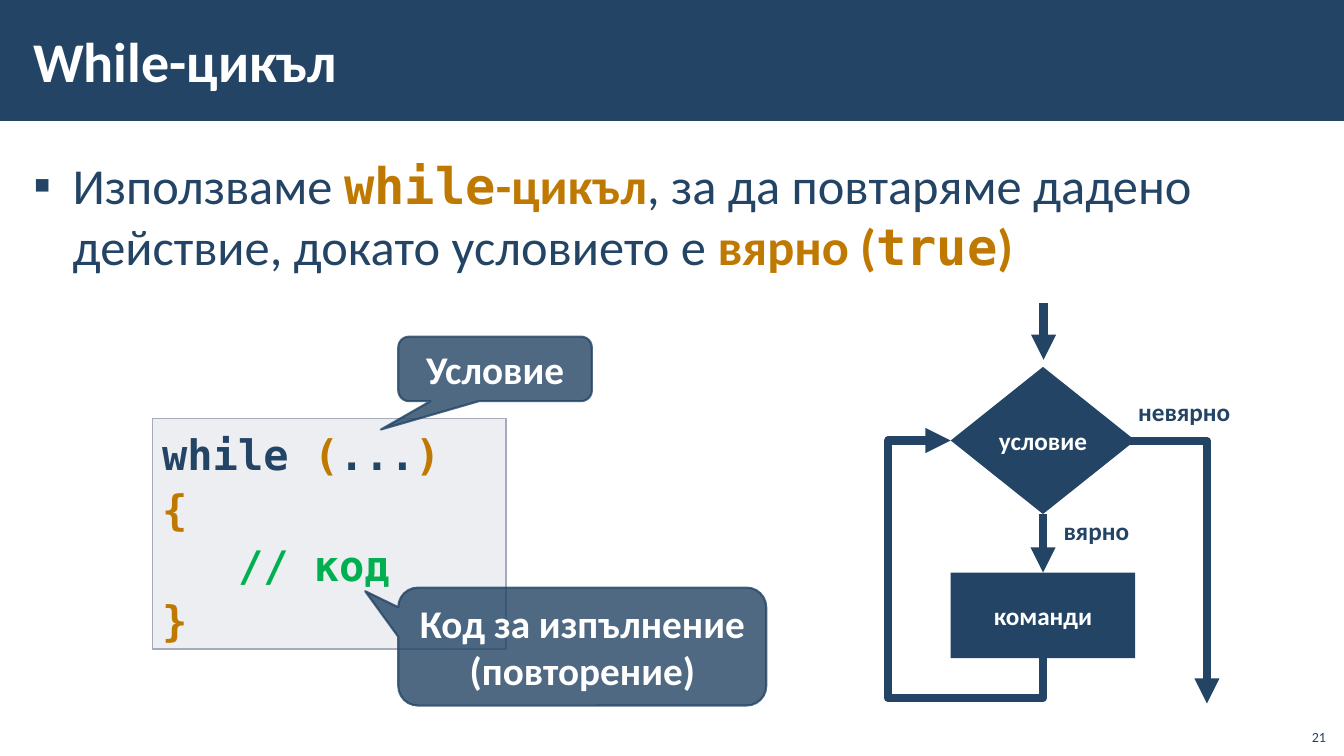
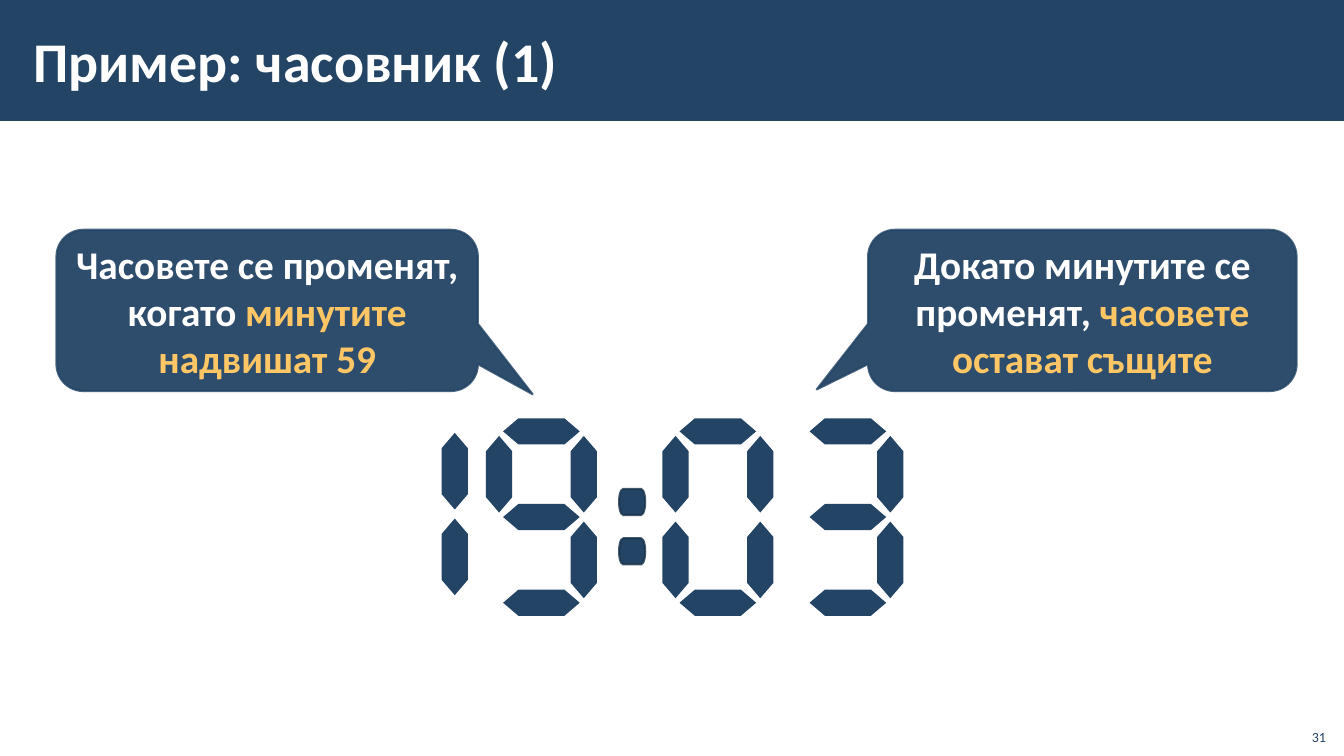
from lxml import etree
from pptx import Presentation
from pptx import util as u
from pptx.dml.color import RGBColor
from pptx.enum import shapes, text
from pptx.oxml.ns import qn

NAVY = RGBColor(0x23, 0x44, 0x65)
DARK_NAVY = RGBColor(0x1A, 0x33, 0x4C)
WHITE = RGBColor(0xFF, 0xFF, 0xFF)
OCHRE = RGBColor(0xBF, 0x78, 0x00)
GOLD = RGBColor(0xFF, 0xC6, 0x66)
GREEN = RGBColor(0x00, 0xB0, 0x50)
GREY = RGBColor(0xA3, 0xAB, 0xBC)
SANS, MONO = "Calibri", "DejaVu Sans Mono"
PRESET = shapes.MSO_SHAPE
ALIGN = text.PP_ALIGN
ANCHOR = text.MSO_ANCHOR


def add_block(slide, preset, box, color, opacity=100, line=None, line_width=1.5, line_opacity=100):
    """Add a preset shape; box is left, top, width, height in inches."""
    block = slide.shapes.add_shape(preset, *map(u.Inches, box))
    block.shadow.inherit = False
    block.fill.solid()
    block.fill.fore_color.rgb = color
    if line is None:
        block.line.fill.background()
    else:
        block.line.color.rgb = line
        block.line.width = u.Pt(line_width)
    paints = block.element.spPr.iter(qn("a:srgbClr"))
    for paint, percent in zip(list(paints), (opacity, line_opacity)):
        if percent < 100:
            etree.SubElement(paint, qn("a:alpha")).set("val", str(percent * 1000))
    return block


def write(shape, lines, size, color, align=ALIGN.LEFT, anchor=ANCHOR.MIDDLE,
          font=SANS, bold=True, wrap=True, spacing=None):
    """Fill a shape with lines, each a list of (text, overrides of color, font, bold)."""
    frame = shape.text_frame
    frame.auto_size = text.MSO_AUTO_SIZE.NONE
    frame.word_wrap = wrap
    frame.vertical_anchor = anchor
    for index, pieces in enumerate(lines):
        paragraph = frame.add_paragraph() if index else frame.paragraphs[0]
        paragraph.alignment = align
        paragraph.space_before = u.Pt(0)
        if spacing:
            paragraph.line_spacing = spacing
        paragraph.font.size = u.Pt(size)
        paragraph.font.name = font
        paragraph.font.bold = bold
        paragraph.font.color.rgb = color
        for words, look in pieces:
            run = paragraph.add_run()
            run.text = words
            if "color" in look:
                run.font.color.rgb = look["color"]
            if "font" in look:
                run.font.name = look["font"]
            if "bold" in look:
                run.font.bold = look["bold"]


deck = Presentation()
deck.slide_width, deck.slide_height = u.Inches(13.33), u.Inches(7.5)

# Shared title band, title and page number
slides = []
for layout, heading, number in ((1, "While-цикъл", "21"), (5, "Пример: часовник (1)", "31")):
    slide = deck.slides.add_slide(deck.slide_layouts[layout])
    title = slide.shapes.title
    title.left, title.top, title.width, title.height = map(u.Inches, (0.21, 0.11, 11.23, 0.97))
    title.text_frame.margin_left = u.Inches(0.12)
    write(title, [[(heading, {})]], 40, WHITE)
    page = slide.shapes.add_textbox(*map(u.Inches, (12.85, 7.12, 0.4, 0.32)))
    write(page, [[(number, {})]], 10, NAVY, ALIGN.RIGHT, ANCHOR.BOTTOM, bold=False)
    slides.append(slide)
loop_slide, clock_slide = slides

band = add_block(loop_slide, PRESET.RECTANGLE, (0, 0, 13.33, 1.2), NAVY)
deck.slide_master.shapes.element.insert(2, band.element)

# While loop: definition
definition = loop_slide.placeholders[1]
definition.left, definition.top, definition.width, definition.height = map(
    u.Inches, (0.21, 1.49, 12.92, 1.4))
definition.text_frame.margin_left = definition.text_frame.margin_right = u.Inches(0.12)
definition.text_frame.margin_top = u.Inches(0.04)
bullet = definition.text_frame.paragraphs[0]._p.get_or_add_pPr()
bullet.set("marL", str(u.Inches(0.39)))
bullet.set("indent", str(u.Inches(-0.39)))
etree.SubElement(bullet, qn("a:buChar")).set("char", "▪")
key = {"color": OCHRE, "bold": True}
key_code = {**key, "font": MONO}
write(definition, [[
    ("Използваме ", {}), ("while", key_code), ("-цикъл", key),
    (", за да повтаряме дадено действие, докато условието е ", {}),
    ("вярно (", key), ("true", key_code), (")", key),
]], 36, NAVY, anchor=ANCHOR.TOP, bold=False)

# While loop: code and its callouts
ochre = {"color": OCHRE}
code = add_block(loop_slide, PRESET.RECTANGLE, (1.51, 4.15, 3.51, 2.29), GREY, 20, GREY, 1)
write(code, [
    [("while ", {}), ("(", ochre), ("...", {}), (")", ochre)],
    [("{", ochre)],
    [("   // код", {"color": GREEN})],
    [("}", ochre)],
], 30, NAVY, anchor=ANCHOR.TOP, font=MONO, spacing=1.1)

gold = {"color": GOLD}
for slide, box, tip, opacity, pieces in (
    (loop_slide, (3.95, 3.34, 1.92, 0.64), (-0.59, 0.94), 80, [("Условие", {})]),
    (loop_slide, (3.95, 5.83, 3.65, 1.17), (-0.59, -0.47), 80,
     [("Код за изпълнение (повторение)", {})]),
    (clock_slide, (0.56, 2.28, 4.18, 1.6), (0.63, 0.52), 95,
     [("Часовете се променят, когато ", {}), ("минутите надвишат 59", gold)]),
    (clock_slide, (8.61, 2.28, 4.25, 1.6), (-0.62, 0.49), 95,
     [("Докато минутите се променят, ", {}), ("часовете остават същите", gold)]),
):
    callout = add_block(slide, PRESET.ROUNDED_RECTANGULAR_CALLOUT, box, NAVY, opacity,
                        NAVY, line_opacity=80)
    callout.adjustments[0], callout.adjustments[1] = tip
    write(callout, [pieces], 28, WHITE, ALIGN.CENTER)

# While loop: flowchart
condition = add_block(loop_slide, PRESET.FLOWCHART_DECISION, (9.43, 3.64, 1.83, 1.46), NAVY)
commands = add_block(loop_slide, PRESET.RECTANGLE, (9.43, 5.68, 1.83, 0.85), NAVY)
for step, label in ((condition, "условие"), (commands, "команди")):
    write(step, [[(label, {})]], 18, WHITE, ALIGN.CENTER, wrap=False)
for label, box in (("вярно", (10.45, 5.06, 0.86, 0.4)), ("невярно", (11.19, 3.88, 1.12, 0.4))):
    branch = loop_slide.shapes.add_textbox(*map(u.Inches, box))
    write(branch, [[(label, {})]], 18, NAVY, wrap=False)

STRAIGHT, ELBOW = shapes.MSO_CONNECTOR.STRAIGHT, shapes.MSO_CONNECTOR.ELBOW
arrows = []
for kind, start, end in (
    (STRAIGHT, (10.35, 3.01), (10.35, 3.57)),
    (STRAIGHT, (10.35, 5.1), (10.35, 5.68)),
    (ELBOW, (10.35, 6.53), (9.43, 4.37)),
    (ELBOW, (11.18, 4.37), (11.97, 6.98)),
):
    arrow = loop_slide.shapes.add_connector(kind, *map(u.Inches, start + end))
    arrow.line.color.rgb = NAVY
    arrow.line.width = u.Pt(6)
    etree.SubElement(arrow.line._get_or_add_ln(), qn("a:tailEnd")).set("type", "triangle")
    etree.SubElement(arrow.element.spPr, qn("a:effectLst"))
    arrows.append(arrow)
entry, true_branch, repeat, false_branch = arrows
true_branch.begin_connect(condition, 2)
true_branch.end_connect(commands, 0)
repeat.begin_connect(commands, 2)
repeat.end_connect(condition, 1)

# Elbows that leave vertically or turn twice are stored as turned, mirrored boxes
for arrow, preset, turn, bends in (
    (repeat, "bentConnector4", 90, (-18300, 167800)),
    (false_branch, "bentConnector3", 270, (300,)),
):
    left, top, width, height = arrow.left, arrow.top, arrow.width, arrow.height
    arrow.left, arrow.top = left + (width - height) // 2, top + (height - width) // 2
    arrow.width, arrow.height = height, width
    arrow.rotation = turn
    frame = arrow.element.spPr.find(qn("a:xfrm"))
    frame.set("flipH", "1")
    frame.set("flipV", "0")
    geometry = arrow.element.spPr.find(qn("a:prstGeom"))
    geometry.set("prst", preset)
    guides = geometry.find(qn("a:avLst"))
    for index, bend in enumerate(bends, 1):
        guide = etree.SubElement(guides, qn("a:gd"))
        guide.set("name", f"adj{index}")
        guide.set("fmla", f"val {bend}")

# Clock: seven-segment digits, each segment as column, row and turn from the digit's centre
COLUMN, ROW = 0.42, 0.425
SEGMENTS = {
    "top": (0, -2, 0), "middle": (0, 0, 0), "bottom": (0, 2, 0),
    "upper left": (-1, -1, 90), "lower left": (-1, 1, 90),
    "upper right": (1, -1, 90), "lower right": (1, 1, 90),
}
UNLIT = {
    "1": {"top", "middle", "bottom", "upper left", "lower left"},
    "9": {"lower left"},
    "0": {"middle"},
    "3": {"upper left", "lower left"},
}
for digit, center_x, center_y in (("1", 4.09, 5.1), ("9", 5.37, 5.13),
                                  ("0", 7.12, 5.13), ("3", 8.41, 5.13)):
    for name, (column, row, turn) in SEGMENTS.items():
        if name not in UNLIT[digit]:
            x, y = center_x + column * COLUMN, center_y + row * ROW
            segment = add_block(clock_slide, PRESET.FLOWCHART_PREPARATION,
                                (x - 0.38, y - 0.13, 0.76, 0.26), NAVY)
            segment.rotation = turn
for dot_top in (4.85, 5.34):
    add_block(clock_slide, PRESET.FLOWCHART_TERMINATOR, (6.14, dot_top, 0.26, 0.26), NAVY,
              line=DARK_NAVY, line_opacity=80)

deck.save("out.pptx")
